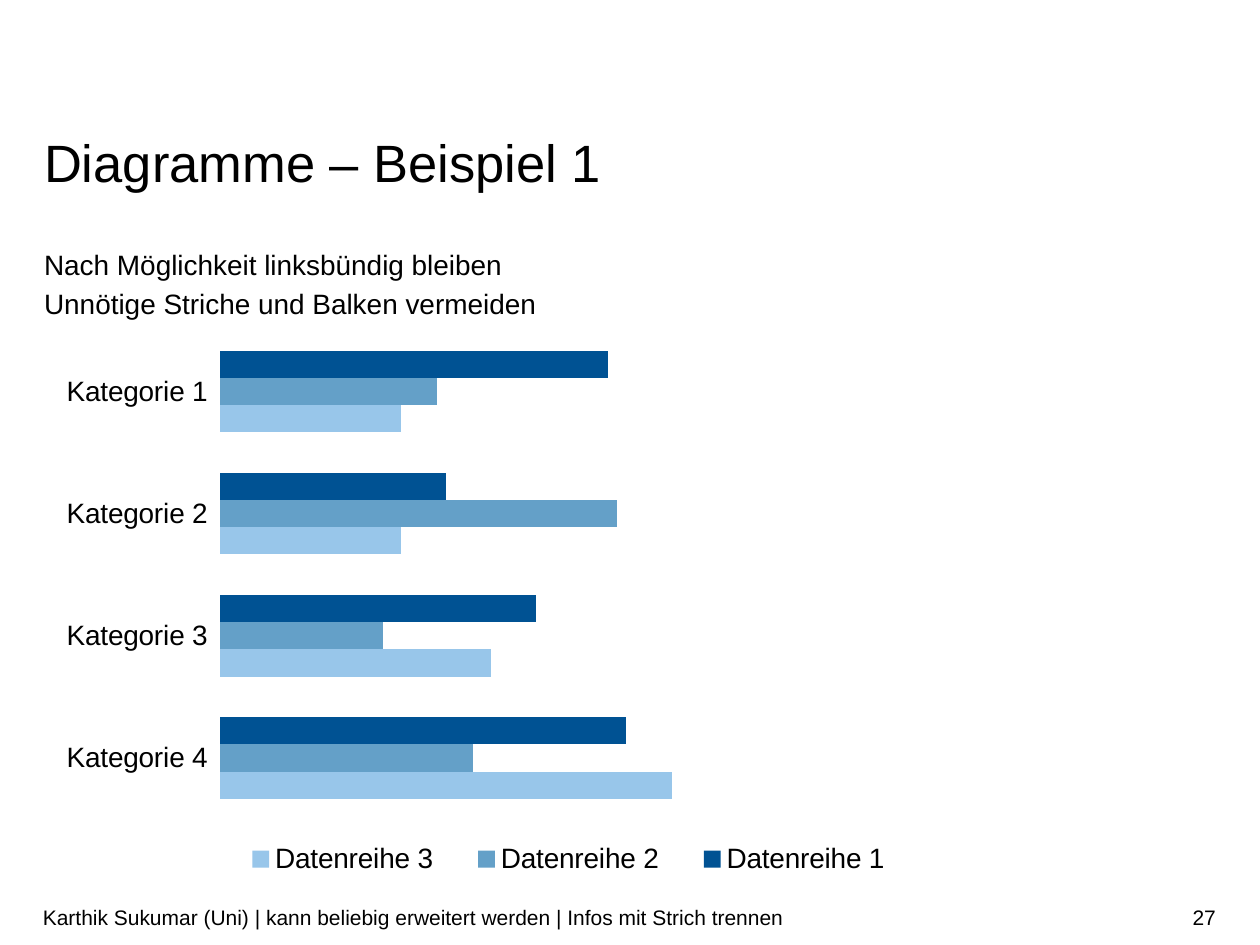
from lxml import etree
from pptx import Presentation
from pptx.chart.data import CategoryChartData
from pptx.dml.color import RGBColor
from pptx.enum import chart as ch, text as tx
from pptx.oxml import ns
from pptx.util import Inches, Pt

BLACK = RGBColor(0x00, 0x00, 0x00)
FONT = "Arial"

# Content
TITLE = "Diagramme – Beispiel 1"
ADVICE = ["Nach Möglichkeit linksbündig bleiben",
          "Unnötige Striche und Balken vermeiden"]
FOOTER = "Karthik Sukumar (Uni) | kann beliebig erweitert werden | Infos mit Strich trennen"
PAGE = "27"
CATEGORIES = ["Kategorie 1", "Kategorie 2", "Kategorie 3", "Kategorie 4"]
SERIES = [
    ("Datenreihe 1", (86, 50, 70, 90), RGBColor(0x00, 0x52, 0x93)),
    ("Datenreihe 2", (48, 88, 36, 56), RGBColor(0x64, 0xA0, 0xC8)),
    ("Datenreihe 3", (40, 40, 60, 100), RGBColor(0x98, 0xC6, 0xEA)),
]


def add_text(slide, box, lines, size, spacing=None, align=tx.PP_ALIGN.LEFT,
             anchor=tx.MSO_ANCHOR.TOP, inset=0):
    frame = slide.shapes.add_textbox(*map(Inches, box)).text_frame
    frame.word_wrap = True
    frame.vertical_anchor = anchor
    frame.margin_left = frame.margin_right = 0
    frame.margin_top = frame.margin_bottom = Inches(inset)
    for i, line in enumerate(lines):
        paragraph = frame.add_paragraph() if i else frame.paragraphs[0]
        paragraph.alignment = align
        if spacing:
            paragraph.line_spacing = spacing
        run = paragraph.add_run()
        run.text = line
        run.font.name, run.font.size = FONT, Pt(size)
        run.font.color.rgb = BLACK


def manual_layout(inner, **fractions):
    """Chart layout as fractions of the chart's own width and height."""
    layout = etree.Element(ns.qn("c:layout"))
    manual = etree.SubElement(layout, ns.qn("c:manualLayout"))
    settings = [("layoutTarget", "inner")] if inner else []
    settings += [("xMode", "edge"), ("yMode", "edge"), *fractions.items()]
    for tag, value in settings:
        etree.SubElement(manual, ns.qn("c:" + tag)).set("val", str(value))
    return layout


def add_bars(slide):
    data = CategoryChartData()
    data.categories = CATEGORIES
    for name, values, _ in SERIES:
        data.add_series(name, values)
    chart = slide.shapes.add_chart(
        ch.XL_CHART_TYPE.BAR_CLUSTERED,
        *map(Inches, (0.23, 2.61, 9.31, 4.6)), data).chart
    chart.has_title = False
    chart.font.name, chart.font.size = FONT, Pt(16)
    chart.font.color.rgb = BLACK

    # Bars
    plot = chart.plots[0]
    plot.gap_width, plot.overlap = 150, 0
    plot.vary_by_categories = False
    for bars, (_, _, color) in zip(plot.series, SERIES):
        bars.format.fill.solid()
        bars.format.fill.fore_color.rgb = color

    # Axes
    chart.category_axis.reverse_order = True
    chart.category_axis.has_major_gridlines = False
    chart.category_axis.format.line.fill.background()
    chart.value_axis.minimum_scale, chart.value_axis.maximum_scale = 0, 120
    chart.value_axis.has_major_gridlines = False
    chart.value_axis.visible = False

    # Legend below the bars, starting at their left edge
    chart.has_legend = True
    chart.legend.position = ch.XL_LEGEND_POSITION.RIGHT
    chart.legend.include_in_layout = False
    legend = chart.legend._element
    legend.find(ns.qn("c:legendPos")).addnext(
        manual_layout(False, x=0.16, y=0.87, w=0.6, h=0.09))

    area = chart._chartSpace.find(".//" + ns.qn("c:plotArea"))
    for old in area.findall(ns.qn("c:layout")):
        area.remove(old)
    area.insert(0, manual_layout(True, x=0.163, y=0.003, w=0.462, h=0.843))


def main():
    deck = Presentation()
    deck.slide_width, deck.slide_height = Inches(10), Inches(7.5)
    slide = deck.slides.add_slide(deck.slide_layouts[6])

    # Heading and advice
    add_text(slide, (0.35, 1.09, 9.31, 0.45), [TITLE], 30, Pt(32))
    add_text(slide, (0.35, 1.93, 9.31, 0.78), ADVICE, 16, 1.14)

    add_bars(slide)

    # Footer and page number
    middle = tx.MSO_ANCHOR.MIDDLE
    add_text(slide, (0.34, 7.08, 7.07, 0.4), [FOOTER], 12, anchor=middle, inset=0.05)
    add_text(slide, (7.41, 7.08, 2.24, 0.4), [PAGE], 12,
             align=tx.PP_ALIGN.RIGHT, anchor=middle, inset=0.05)
    deck.save("out.pptx")


if __name__ == "__main__":
    main()
